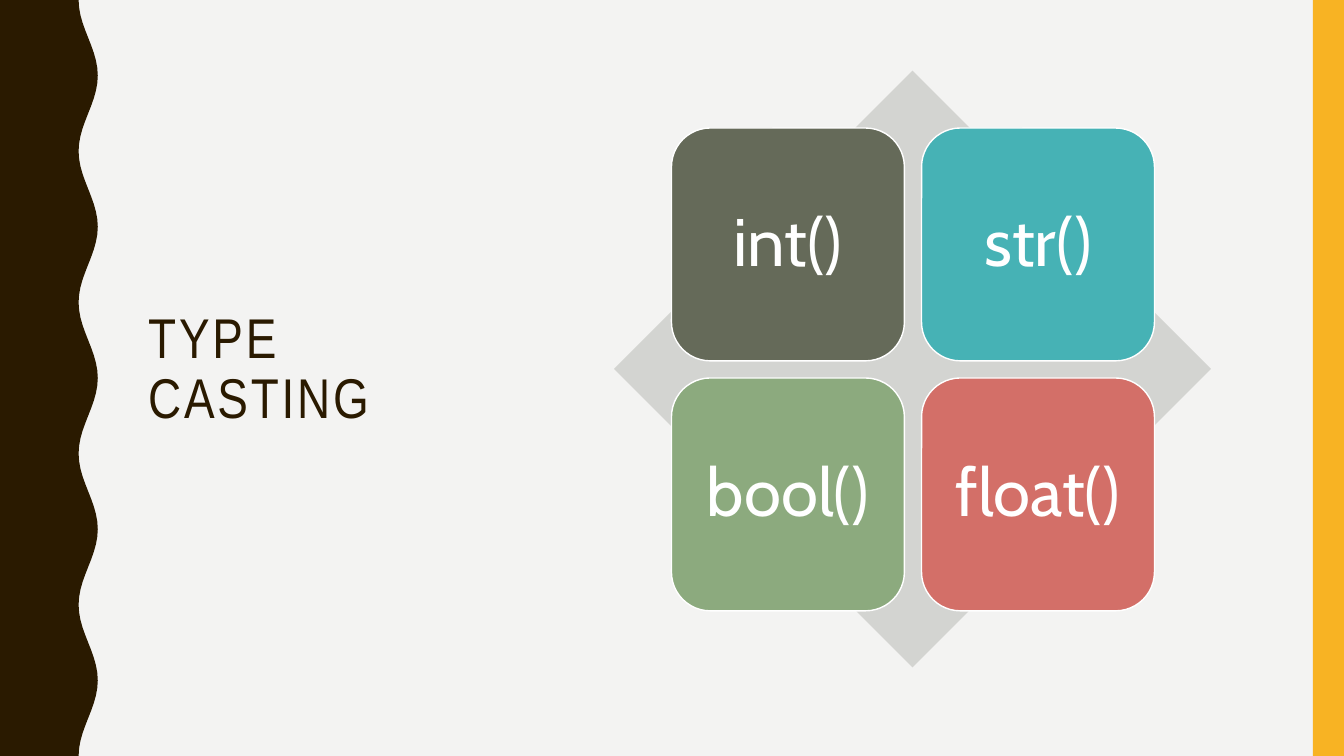
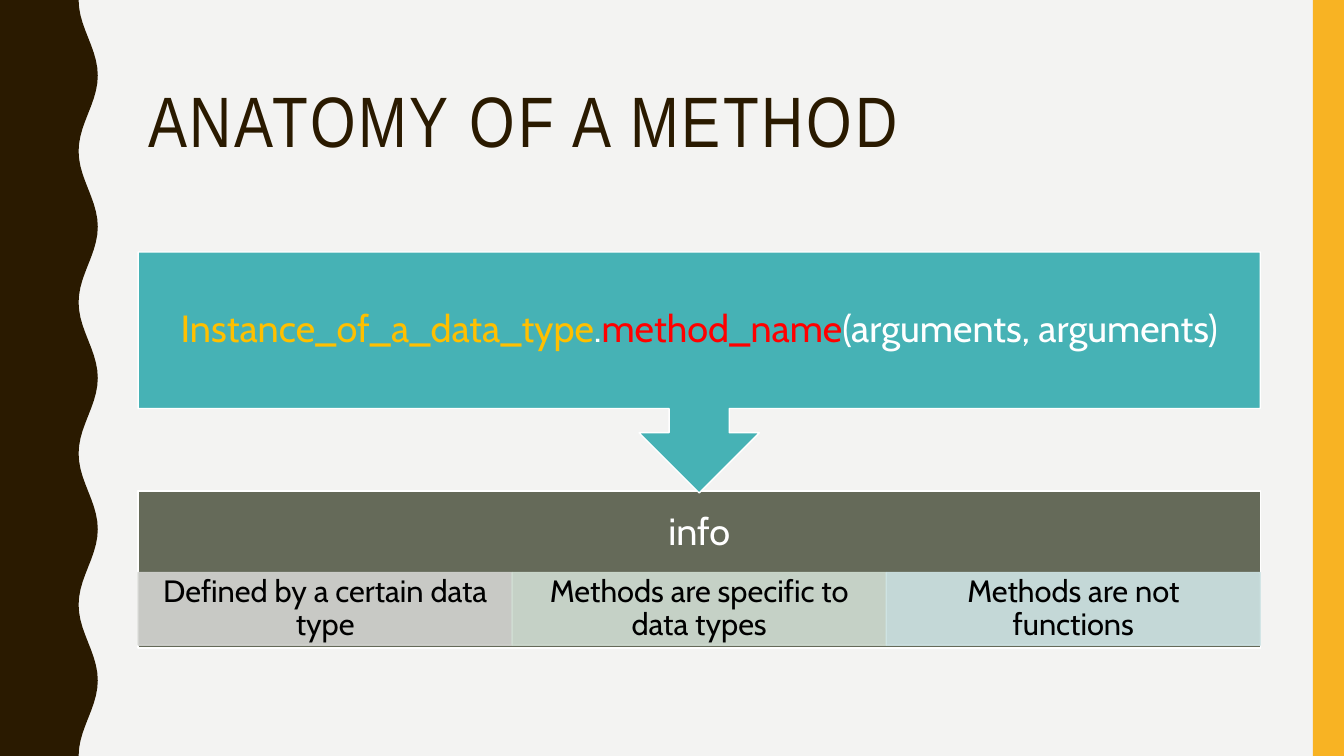
import math

import pptx
import pptx.dml.color
import pptx.enum.shapes
import pptx.enum.text
import pptx.oxml
import pptx.oxml.ns
import pptx.util

Inches = pptx.util.Inches
Pt = pptx.util.Pt
RGB = pptx.dml.color.RGBColor.from_string
MSO = pptx.enum.shapes.MSO_SHAPE
ALIGN = pptx.enum.text.PP_ALIGN
MIDDLE = pptx.enum.text.MSO_ANCHOR.MIDDLE


class Theme:
    paper = "F3F3F2"
    brown = "2A1A00"
    amber = "F8B323"
    white = "FFFFFF"
    black = "000000"
    olive = "656A59"
    teal = "46B2B5"
    green = "8CAA7E"
    coral = "D36F68"
    gold = "FFC000"
    red = "FF0000"
    grey = "D3D4D1"
    pale_green = "D0DDD2"
    pale_teal = "CFE4E5"
    title_font = "Arial Narrow"
    body_font = "Cabin"
    tile_size = 48
    callout_size = 27
    fact_size = 22
    opacity = 90


def paint(sp, fill, line=None, opacity=100):
    """Fill and outline a shape, with opacity in percent."""
    sp.shadow.inherit = False
    sp.fill.solid()
    sp.fill.fore_color.rgb = RGB(fill)
    if line:
        sp.line.color.rgb = RGB(line)
        sp.line.width = Pt(1)
    else:
        sp.line.fill.background()
    if opacity < 100:
        for colour in sp.element.spPr.iter(pptx.oxml.ns.qn("a:srgbClr")):
            alpha = pptx.oxml.parse_xml(
                f'<a:alpha {pptx.oxml.ns.nsdecls("a")} val="{opacity * 1000}"/>')
            colour.append(alpha)


def write(sp, runs, size, insets, font=Theme.body_font, align=ALIGN.CENTER):
    """Write (text, colour) runs as one paragraph; insets are left, top, right, bottom."""
    tf = sp.text_frame
    left, top, right, bottom = map(Inches, insets)
    frame = {"word_wrap": True, "vertical_anchor": MIDDLE,
             "auto_size": pptx.enum.text.MSO_AUTO_SIZE.NONE,
             "margin_left": left, "margin_top": top,
             "margin_right": right, "margin_bottom": bottom}
    for name, value in frame.items():
        setattr(tf, name, value)
    p = tf.paragraphs[0]
    p.alignment = align
    p.line_spacing = 0.9
    for text, colour in runs:
        r = p.add_run()
        r.text = text
        for name, value in {"name": font, "size": Pt(size)}.items():
            setattr(r.font, name, value)
        r.font.color.rgb = RGB(colour)


prs = pptx.Presentation()
prs.slide_width = Inches(13.33)
prs.slide_height = Inches(7.5)
layout = prs.slide_layouts.get_by_name("Title Only")
layout.background.fill.solid()
layout.background.fill.fore_color.rgb = RGB(Theme.paper)

# Titles
titles = [
    ("TYPE CASTING", 40, (1.37, 0.71, 3.7, 5.93)),
    ("ANATOMY OF A METHOD", 51, (1.37, 0.42, 11.13, 1.63)),
]
slides = []
for text, size, box in titles:
    s = prs.slides.add_slide(layout)
    title = s.shapes.title
    for name, value in zip(("left", "top", "width", "height"), box):
        setattr(title, name, Inches(value))
    write(title, [(text, Theme.brown)], size, (0.1, 0.05, 0.1, 0.05),
          Theme.title_font, ALIGN.LEFT)
    title.text_frame.paragraphs[0].runs[0].font._element.set("spc", "200")
    slides.append(s)
casting, anatomy = slides

# Side bands, moved to the layout that both slides share
steps = 100
wave = []
for i in range(steps + 1):
    y = 7.5 * i / steps
    x = 0.875 - 0.095 * math.cos(2 * math.pi * y / 1.5)
    wave.append((Inches(x), Inches(y)))
builder = casting.shapes.build_freeform(0, 0)
builder.add_line_segments(wave + [(0, Inches(7.5))], close=True)
wave_band = builder.convert_to_shape()
edge_band = casting.shapes.add_shape(
    MSO.RECTANGLE, Inches(13.02), 0, Inches(0.31), Inches(7.5))
for sp, colour in ((wave_band, Theme.brown), (edge_band, Theme.amber)):
    paint(sp, colour)
    layout.shapes.element.insert(2, sp.element)

# Type casting: four tiles on a diamond
diamond = casting.shapes.add_shape(
    MSO.DIAMOND, Inches(6.09), Inches(0.7), Inches(5.92), Inches(5.92))
paint(diamond, Theme.grey)
tile, pitch = 2.31, 2.48
tiles = [("int()", Theme.olive), ("str()", Theme.teal),
         ("bool()", Theme.green), ("float()", Theme.coral)]
for i, (text, colour) in enumerate(tiles):
    row, col = divmod(i, 2)
    sp = casting.shapes.add_shape(
        MSO.ROUNDED_RECTANGLE, Inches(6.66 + col * pitch), Inches(1.27 + row * pitch),
        Inches(tile), Inches(tile))
    paint(sp, colour, Theme.white)
    write(sp, [(text, Theme.white)], Theme.tile_size, (0.2,) * 4)

# Anatomy of a method: info panel, its facts, and the callout above
left, width = 1.37, 11.13
panel = anatomy.shapes.add_shape(
    MSO.RECTANGLE, Inches(left), Inches(4.87), Inches(width), Inches(1.56))
paint(panel, Theme.olive, Theme.white)
write(panel, [("info", Theme.white)], Theme.callout_size, (0.21, 0.21, 0.21, 0.93))

facts = [("Defined by a certain data type", Theme.grey),
         ("Methods are specific to data types", Theme.pale_green),
         ("Methods are not functions", Theme.pale_teal)]
fact_width = width / len(facts)
for i, (text, colour) in enumerate(facts):
    sp = anatomy.shapes.add_shape(
        MSO.RECTANGLE, Inches(left + i * fact_width), Inches(5.68),
        Inches(fact_width), Inches(0.72))
    paint(sp, colour, colour, Theme.opacity)
    write(sp, [(text, Theme.black)], Theme.fact_size, (0.17, 0.03, 0.17, 0.03))

callout = anatomy.shapes.add_shape(
    MSO.DOWN_ARROW_CALLOUT, Inches(left), Inches(2.5), Inches(width), Inches(2.39))
paint(callout, Theme.teal, Theme.white)
write(callout,
      [("Instance_of_a_data_type", Theme.gold), (".", Theme.white),
       ("method_name", Theme.red), ("(arguments, arguments)", Theme.white)],
      Theme.callout_size, (0.21,) * 4)

prs.save("out.pptx")
